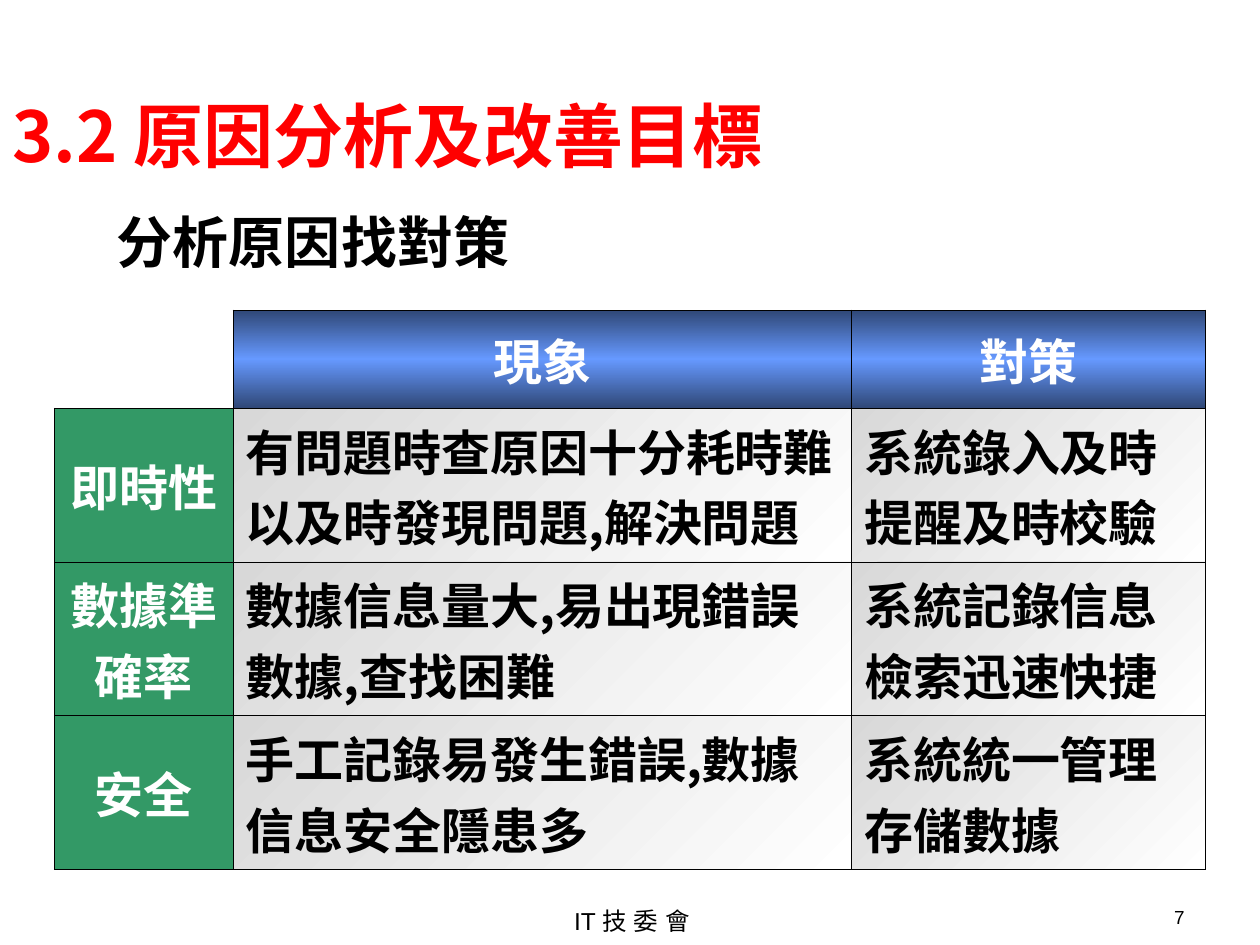
from dataclasses import dataclass
from typing import NamedTuple

from lxml.etree import SubElement
from pptx import Presentation
from pptx.dml.color import RGBColor
from pptx.enum.text import MSO_ANCHOR, PP_ALIGN
from pptx.oxml.ns import qn
from pptx.util import Emu, Inches, Pt


@dataclass(frozen=True)
class Theme:
    cjk: str = "Noto Sans CJK SC"
    latin: str = "Arial"
    black: str = "000000"
    white: str = "FFFFFF"
    red: str = "FF0000"
    green: str = "339966"
    header: tuple = ("2F4776", "6699FF", "2F4776")
    body: tuple = ("D8D8D8", "FFFFFF")
    title_size: float = 40
    subtitle_size: float = 32
    table_size: float = 28
    footer_size: float = 14
    number_size: float = 10.8
    border: float = 0.45


class Box(NamedTuple):
    """Left, top, width and height as shares of the slide's size."""
    left: float
    top: float
    width: float
    height: float


class Label(NamedTuple):
    text: str
    box: Box
    style: dict


THEME = Theme()
WIDTH, HEIGHT = Inches(10), Inches(7.5)

LABELS = [
    Label("3.2 原因分析及改善目標", Box(0, 0.44 / 7.5, 0.9, 1.25 / 7.5),
          dict(size=THEME.title_size, color=THEME.red, bold=True, anchor=MSO_ANCHOR.MIDDLE)),
    Label("分析原因找對策", Box(0.083, 1.6 / 7.5, 0.812, 0.14),
          dict(size=THEME.subtitle_size, bold=True)),
    Label("IT 技 委 會", Box(0.343, 0.952, 0.317, 0.05),
          dict(size=THEME.footer_size, font=THEME.latin, align=PP_ALIGN.CENTER)),
    Label("7", Box(0.717, 0.952, 0.233, 0.04),
          dict(size=THEME.number_size, font=THEME.latin, align=PP_ALIGN.RIGHT)),
]

COLUMN_SHARES = (0.142, 0.491, 0.281)
ROW_SHARES = (0.78 / 7.5,) + (1.22 / 7.5,) * 3
TABLE_BOX = Box(0.043, 2.46 / 7.5, sum(COLUMN_SHARES), sum(ROW_SHARES))
ROWS = [
    ("", "現象", "對策"),
    ("即時性", "有問題時查原因十分耗時難以及時發現問題,解決問題", "系統錄入及時提醒及時校驗"),
    ("數據準確率", "數據信息量大,易出現錯誤數據,查找困難", "系統記錄信息檢索迅速快捷"),
    ("安全", "手工記錄易發生錯誤,數據信息安全隱患多", "系統統一管理存儲數據"),
]


def place(box: Box) -> tuple:
    return tuple(Emu(round(share * side))
                 for share, side in zip(box, (WIDTH, HEIGHT) * 2))


def write(tf, text: str, *, size: float, color: str = THEME.black, font: str = THEME.cjk,
          bold: bool = False, align=PP_ALIGN.LEFT, anchor=MSO_ANCHOR.TOP) -> None:
    tf.word_wrap = True
    tf.vertical_anchor = anchor
    p = tf.paragraphs[0]
    p.alignment = align
    r = p.add_run()
    r.text = text
    r.font.size, r.font.bold, r.font.name = Pt(size), bold, font
    r.font.color.rgb = RGBColor.from_string(color)
    SubElement(r.font._element, qn("a:ea"), typeface=font)


def add_label(slide, label: Label) -> None:
    tb = slide.shapes.add_textbox(*place(label.box))
    write(tb.text_frame, label.text, **label.style)


def set_borders(cell, sides: str) -> None:
    for side in sides:
        ln = SubElement(cell._tc.get_or_add_tcPr(), qn(f"a:ln{side}"),
                        w=str(Pt(THEME.border)))
        fill = SubElement(ln, qn("a:solidFill"))
        SubElement(fill, qn("a:srgbClr"), val=THEME.black)


def set_gradient(cell, colors: tuple, angle: int) -> None:
    """Fill with evenly spaced stops; the angle runs clockwise in degrees."""
    grad = SubElement(cell._tc.get_or_add_tcPr(), qn("a:gradFill"), rotWithShape="1")
    stops = SubElement(grad, qn("a:gsLst"))
    for i, color in enumerate(colors):
        stop = SubElement(stops, qn("a:gs"), pos=str(100000 * i // (len(colors) - 1)))
        SubElement(stop, qn("a:srgbClr"), val=color)
    SubElement(grad, qn("a:lin"), ang=str(angle * 60000), scaled="1")


def fill_cell(cell, row: int, col: int) -> None:
    if row == col == 0:
        cell.fill.background()
    elif row == 0:
        set_gradient(cell, THEME.header, 90)
    elif col == 0:
        cell.fill.solid()
        cell.fill.fore_color.rgb = RGBColor.from_string(THEME.green)
    else:
        set_gradient(cell, THEME.body, 45)


def add_matrix(slide) -> None:
    table = slide.shapes.add_table(len(ROWS), len(COLUMN_SHARES), *place(TABLE_BOX)).table
    table.first_row = table.horz_banding = False
    for column, share in zip(table.columns, COLUMN_SHARES):
        column.width = Emu(round(share * WIDTH))
    for row, share in zip(table.rows, ROW_SHARES):
        row.height = Emu(round(share * HEIGHT))
    for i, texts in enumerate(ROWS):
        for j, text in enumerate(texts):
            cell = table.cell(i, j)
            heading = i == 0 or j == 0
            set_borders(cell, "LRTB" if text else "RB")
            fill_cell(cell, i, j)
            if text:
                write(cell.text_frame, text, size=THEME.table_size, bold=True,
                      color=THEME.white if heading else THEME.black,
                      align=PP_ALIGN.CENTER if heading else PP_ALIGN.LEFT)
            cell.vertical_anchor = MSO_ANCHOR.MIDDLE


def main() -> None:
    prs = Presentation()
    prs.slide_width, prs.slide_height = WIDTH, HEIGHT
    s = prs.slides.add_slide(prs.slide_layouts[6])
    for label in LABELS:
        add_label(s, label)
    add_matrix(s)
    prs.save("out.pptx")


if __name__ == "__main__":
    main()
